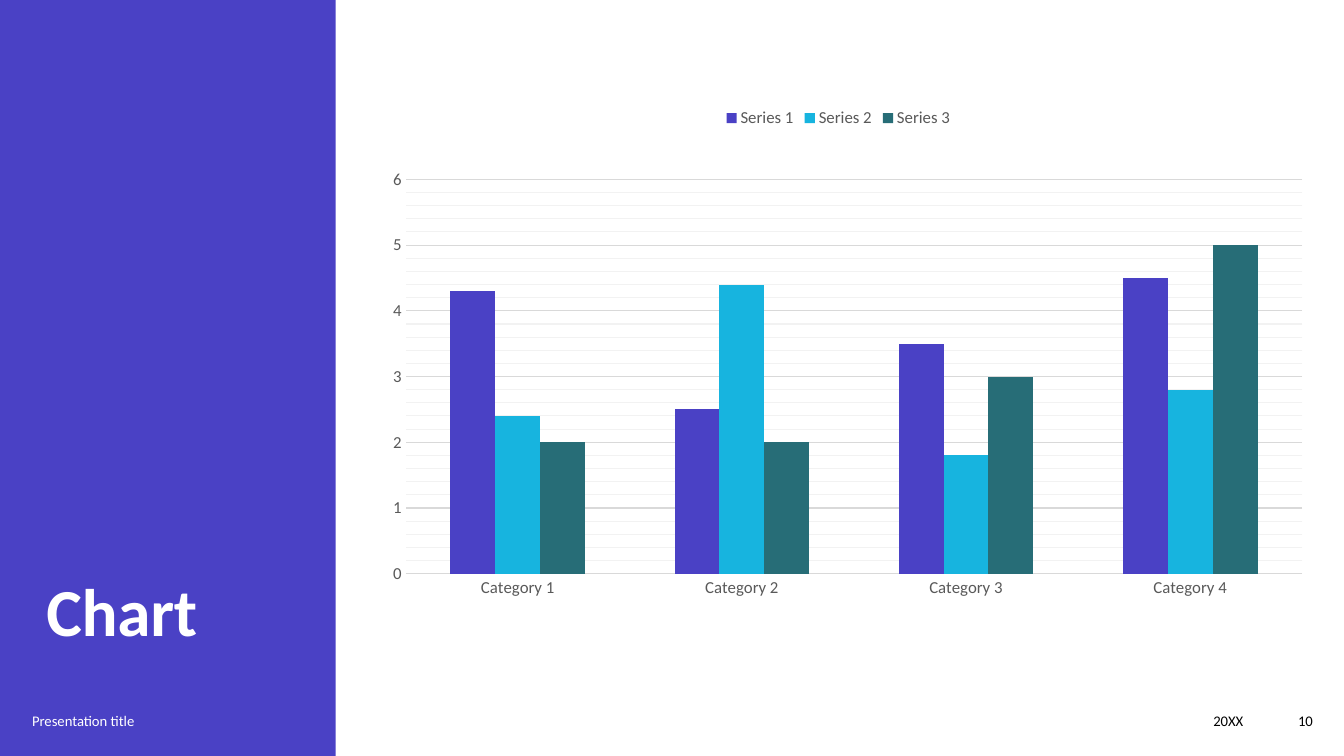
from dataclasses import dataclass

from lxml.etree import SubElement
from pptx import Presentation
from pptx.chart.chart import Chart
from pptx.chart.data import CategoryChartData
from pptx.dml.color import RGBColor
from pptx.enum.chart import XL_CHART_TYPE, XL_LEGEND_POSITION, XL_TICK_MARK
from pptx.enum.shapes import MSO_SHAPE
from pptx.enum.text import MSO_ANCHOR, MSO_AUTO_SIZE, PP_ALIGN
from pptx.oxml import parse_xml
from pptx.oxml.ns import nsdecls, qn
from pptx.shapes.base import BaseShape
from pptx.slide import Slide
from pptx.text.text import Font
from pptx.util import Inches, Pt

FACE = "Calibri"
VIOLET, WHITE, BLACK = "4A41C5", "FFFFFF", "000000"
GREY, RULE, FAINT = "595959", "D9D9D9", "F2F2F2"


@dataclass
class Box:
    left: float
    top: float
    width: float
    height: float

    def sizes(self) -> tuple:
        return tuple(Inches(v) for v in (self.left, self.top, self.width, self.height))


@dataclass
class Label:
    text: str
    box: Box
    size: float
    color: str
    align: PP_ALIGN = PP_ALIGN.LEFT
    anchor: MSO_ANCHOR = MSO_ANCHOR.MIDDLE
    bold: bool = False


@dataclass
class Series:
    name: str
    values: tuple
    color: str


TITLE = Label("Chart", Box(0.36, 0.96, 2.61, 5.54), 48, WHITE,
              anchor=MSO_ANCHOR.BOTTOM, bold=True)
FOOTER = [
    Label("Presentation title", Box(0.22, 6.95, 3.03, 0.4), 10.5, WHITE),
    Label("20XX", Box(7.67, 6.95, 4.76, 0.4), 10.5, BLACK, PP_ALIGN.RIGHT),
    Label("10", Box(12.43, 6.95, 0.69, 0.4), 10.5, BLACK, PP_ALIGN.RIGHT),
]
SERIES = [
    Series("Series 1", (4.3, 2.5, 3.5, 4.5), VIOLET),
    Series("Series 2", (2.4, 4.4, 1.8, 2.8), "17B4DF"),
    Series("Series 3", (2, 2, 3, 5), "276D77"),
]
PLOT = {"x": 0.044, "y": 0.158, "w": 0.945, "h": 0.754}


def paint(target, color: str) -> None:
    rgb = RGBColor.from_string(color)
    if hasattr(target, "solid"):
        target.solid()
        target.fore_color.rgb = rgb
    else:
        target.color.rgb = rgb


def style(font: Font, size: float, color: str, bold: bool = False) -> None:
    font.name = FACE
    font.size = Pt(size)
    font.bold = bold
    paint(font, color)


def write(shape: BaseShape, label: Label) -> None:
    shape.left, shape.top, shape.width, shape.height = label.box.sizes()
    frame = shape.text_frame
    frame.word_wrap = True
    frame.auto_size = MSO_AUTO_SIZE.NONE
    frame.vertical_anchor = label.anchor
    para = frame.paragraphs[0]
    para.alignment = label.align
    run = para.add_run()
    run.text = label.text
    style(run.font, label.size, label.color, label.bold)


def add_panel(slide: Slide) -> None:
    panel = slide.shapes.add_shape(MSO_SHAPE.RECTANGLE, *Box(0, 0, 3.33, 7.5).sizes())
    panel.shadow.inherit = False
    paint(panel.fill, VIOLET)
    panel.line.fill.background()
    slide.shapes.title.element.addprevious(panel.element)


def place_plot(chart: Chart) -> None:
    area = chart.element.find(".//" + qn("c:plotArea"))
    for old in area.findall(qn("c:layout")):
        area.remove(old)
    layout = parse_xml(f"<c:layout {nsdecls('c')}><c:manualLayout/></c:layout>")
    area.insert(0, layout)
    rules = {"layoutTarget": "inner", "xMode": "edge", "yMode": "edge", **PLOT}
    for tag, value in rules.items():
        SubElement(layout[0], qn(f"c:{tag}")).set("val", str(value))


def style_axes(chart: Chart) -> None:
    cat, val = chart.category_axis, chart.value_axis
    for axis in (cat, val):
        axis.major_tick_mark = axis.minor_tick_mark = XL_TICK_MARK.NONE
        style(axis.tick_labels.font, 12, GREY)
    val.minimum_scale, val.maximum_scale = 0, 6
    val.major_unit, val.minor_unit = 1, 0.2
    val.has_major_gridlines = val.has_minor_gridlines = True
    val.format.line.fill.background()
    for line in (cat.format.line, val.major_gridlines.format.line):
        paint(line, RULE)
        line.width = Pt(0.75)
    minor = chart.element.find(".//" + qn("c:minorGridlines"))
    minor.append(parse_xml(
        f'<c:spPr {nsdecls("c", "a")}><a:ln w="{Pt(0.75)}"><a:solidFill>'
        f'<a:srgbClr val="{FAINT}"/></a:solidFill></a:ln></c:spPr>'
    ))


def add_bars(slide: Slide) -> None:
    data = CategoryChartData()
    data.categories = [f"Category {n}" for n in range(1, 5)]
    for item in SERIES:
        data.add_series(item.name, item.values)
    chart = slide.shapes.add_chart(
        XL_CHART_TYPE.COLUMN_CLUSTERED, *Box(3.61, 0.96, 9.41, 5.19).sizes(), data
    ).chart
    style(chart.font, 10, BLACK)
    chart.has_title = False
    chart.has_legend = True
    chart.legend.position = XL_LEGEND_POSITION.TOP
    chart.legend.include_in_layout = False
    style(chart.legend.font, 12, GREY)
    plot = chart.plots[0]
    plot.gap_width, plot.overlap = 199, 0
    plot.vary_by_categories = False
    for bars, item in zip(plot.series, SERIES):
        paint(bars.format.fill, item.color)
    style_axes(chart)
    place_plot(chart)


def main() -> None:
    deck = Presentation()
    deck.slide_width, deck.slide_height = Inches(13.33), Inches(7.5)
    slide = deck.slides.add_slide(deck.slide_layouts[5])
    add_panel(slide)
    title = slide.shapes.title
    write(title, TITLE)
    title.element.find(".//" + qn("a:rPr")).set("spc", "-20")
    add_bars(slide)
    for label in FOOTER:
        write(slide.shapes.add_textbox(*label.box.sizes()), label)
    deck.save("out.pptx")


if __name__ == "__main__":
    main()
